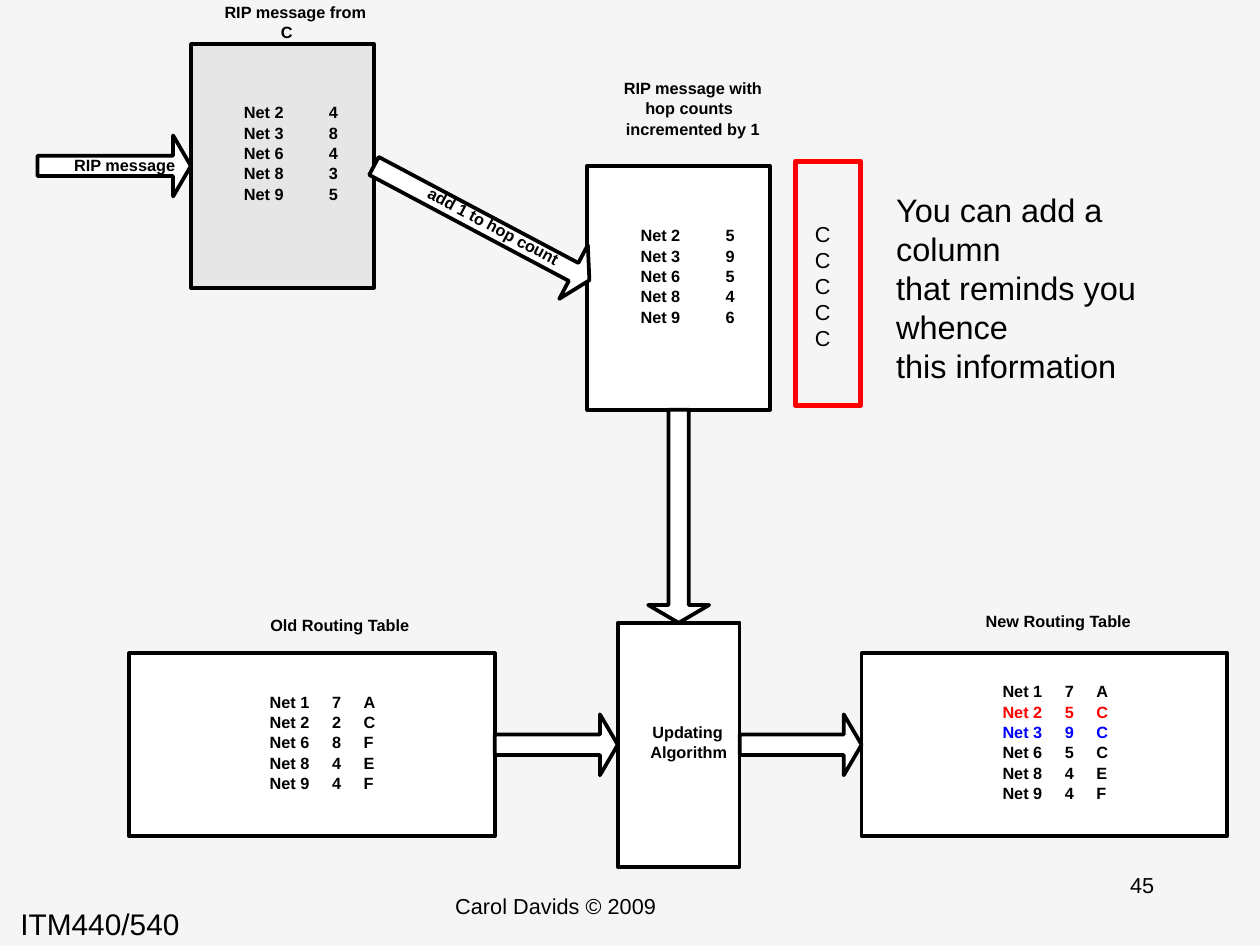
from collections import namedtuple
from dataclasses import dataclass
from math import hypot

from lxml.etree import SubElement
from pptx import Presentation
from pptx.dml.color import RGBColor
from pptx.enum.shapes import MSO_SHAPE
from pptx.enum.text import PP_ALIGN
from pptx.oxml.ns import qn
from pptx.util import Inches, Pt

WIDTH, HEIGHT = Inches(6.46), Inches(4.85)
COLUMNS = 62
UNIT = WIDTH / COLUMNS

Type = namedtuple("Type", "size pitch bold")
Line = namedtuple("Line", "text color left", defaults=("000000", 0))


@dataclass(frozen=True)
class Theme:
    font: str = "Arial"
    page: str = "F5F5F5"
    black: str = "000000"
    white: str = "FFFFFF"
    gray: str = "E6E6E6"
    red: str = "FF0000"
    blue: str = "0000FF"
    thin: float = 1.4
    thick: float = 2
    label: Type = Type(6, 7.5, True)
    small: Type = Type(8, 9.6, False)
    foot: Type = Type(11, 13.2, False)
    note: Type = Type(12, 14.4, False)


THEME = Theme()


def grid(count):
    return round(count * UNIT)


def paint(shape, fill, edge, weight):
    shape.shadow.inherit = False
    if fill:
        shape.fill.solid()
        shape.fill.fore_color.rgb = RGBColor.from_string(fill)
    else:
        shape.fill.background()
    shape.line.color.rgb = RGBColor.from_string(edge)
    shape.line.width = Pt(weight)


def add_box(slide, left, top, wide, high, fill=THEME.white,
            edge=THEME.black, weight=THEME.thin):
    box = slide.shapes.add_shape(MSO_SHAPE.RECTANGLE, *map(grid, (left, top, wide, high)))
    paint(box, fill, edge, weight)


def add_arrow(slide, start, end):
    (x, y), (tip_x, tip_y) = start, end
    span = hypot(tip_x - x, tip_y - y)
    dx, dy = (tip_x - x) / span, (tip_y - y) / span
    neck = span - 0.88
    shape = ((span, 0), (neck, -1.5), (neck, -0.5), (0, -0.5),
             (0, 0.5), (neck, 0.5), (neck, 1.5))
    points = [(grid(x + along * dx - side * dy), grid(y + along * dy + side * dx))
              for along, side in shape]
    path = slide.shapes.build_freeform(*points[0])
    path.add_line_segments(points[1:], close=True)
    paint(path.convert_to_shape(), THEME.white, THEME.black, THEME.thin)


def add_text(slide, left, top, lines, style=THEME.label, wide=10,
             align=PP_ALIGN.LEFT, tabs=(), turn=0):
    high = len(lines) * Pt(style.pitch)
    box = slide.shapes.add_textbox(grid(left), grid(top), grid(wide), high)
    box.rotation = turn
    frame = box.text_frame
    frame.word_wrap = True
    frame.margin_left = frame.margin_right = frame.margin_top = frame.margin_bottom = 0
    for index, line in enumerate(lines):
        para = frame.paragraphs[0] if index == 0 else frame.add_paragraph()
        para.alignment = align
        para.line_spacing = Pt(style.pitch)
        props = para._p.get_or_add_pPr()
        props.set("marL", str(grid(line.left)))
        if tabs:
            stops = SubElement(props, qn("a:tabLst"))
            for stop in tabs:
                SubElement(stops, qn("a:tab"), pos=str(grid(stop)), algn="l")
        run = para.add_run()
        run.text = line.text
        run.font.name = THEME.font
        run.font.size = Pt(style.size)
        run.font.bold = style.bold
        run.font.color.rgb = RGBColor.from_string(line.color)


def add_routes(slide, left, top, nets, tabs, marks=None):
    marks = marks or {}
    lines = [Line("\t".join((f"Net {net}", *rest)), marks.get(net, THEME.black))
             for net, *rest in nets]
    add_text(slide, left, top, lines, tabs=tabs)


def main():
    deck = Presentation()
    deck.slide_width, deck.slide_height = WIDTH, HEIGHT
    slide = deck.slides.add_slide(deck.slide_layouts[6])
    slide.background.fill.solid()
    slide.background.fill.fore_color.rgb = RGBColor.from_string(THEME.page)

    add_box(slide, 9.4, 2.17, 9, 12, THEME.gray)
    add_box(slide, 28.9, 8.17, 9, 12)
    add_box(slide, 6.35, 32.15, 18, 9)
    add_box(slide, 42.4, 32.15, 18, 9)
    add_box(slide, 30.4, 30.65, 6, 12)
    add_box(slide, 39.15, 7.95, 3.2, 12, None, THEME.red, THEME.thick)

    for start, end in (((1.85, 8.17), (9.4, 8.17)),
                       ((18.4, 8.17), (29, 13.8)),
                       ((33.4, 20.17), (33.4, 30.65)),
                       ((24.35, 36.65), (30.4, 36.65)),
                       ((36.4, 36.65), (42.4, 36.65))):
        add_arrow(slide, start, end)

    pair, triple = (4.18,), (3.07, 4.62)
    add_routes(slide, 12, 5, ("24", "38", "64", "83", "95"), pair)
    add_routes(slide, 31.52, 11.05, ("25", "39", "65", "84", "96"), pair)
    add_routes(slide, 13.27, 34, ("17A", "22C", "68F", "84E", "94F"), triple)
    add_routes(slide, 49.33, 33.5, ("17A", "25C", "39C", "65C", "84E", "94F"), triple,
               {"2": THEME.red, "3": THEME.blue})

    add_text(slide, 11.05, 0.05, [Line("RIP message from"), Line("C", left=2.77)])
    add_text(slide, 30.7, 3.8, [Line("RIP message with"), Line("hop counts", left=1.05),
                                Line("incremented by 1", left=0.1)])
    add_text(slide, 3.65, 7.6, [Line("RIP message")])
    add_text(slide, 19.3, 10.6, [Line("add 1 to hop count")],
             align=PP_ALIGN.CENTER, turn=28)
    add_text(slide, 32, 35.5, [Line("Updating", left=0.1), Line("Algorithm")])
    add_text(slide, 13.3, 30.25, [Line("Old Routing Table")])
    add_text(slide, 48.5, 30.05, [Line("New Routing Table")])

    add_text(slide, 40.1, 10.87, [Line("C")] * 5, THEME.small, 1.5)
    add_text(slide, 44.1, 9.33, [Line("You can add a column"), Line("that reminds you whence"),
                                 Line("this information")], THEME.note, 12.5)
    add_text(slide, 1, 44.57, [Line("ITM440/540")], THEME.foot, 18)
    add_text(slide, 17.35, 43.93, [Line("Carol Davids © 2009")], THEME.small, 20,
             PP_ALIGN.CENTER)
    add_text(slide, 51.2, 42.9, [Line("45")], THEME.small, 10, PP_ALIGN.CENTER)

    deck.save("out.pptx")


if __name__ == "__main__":
    main()
